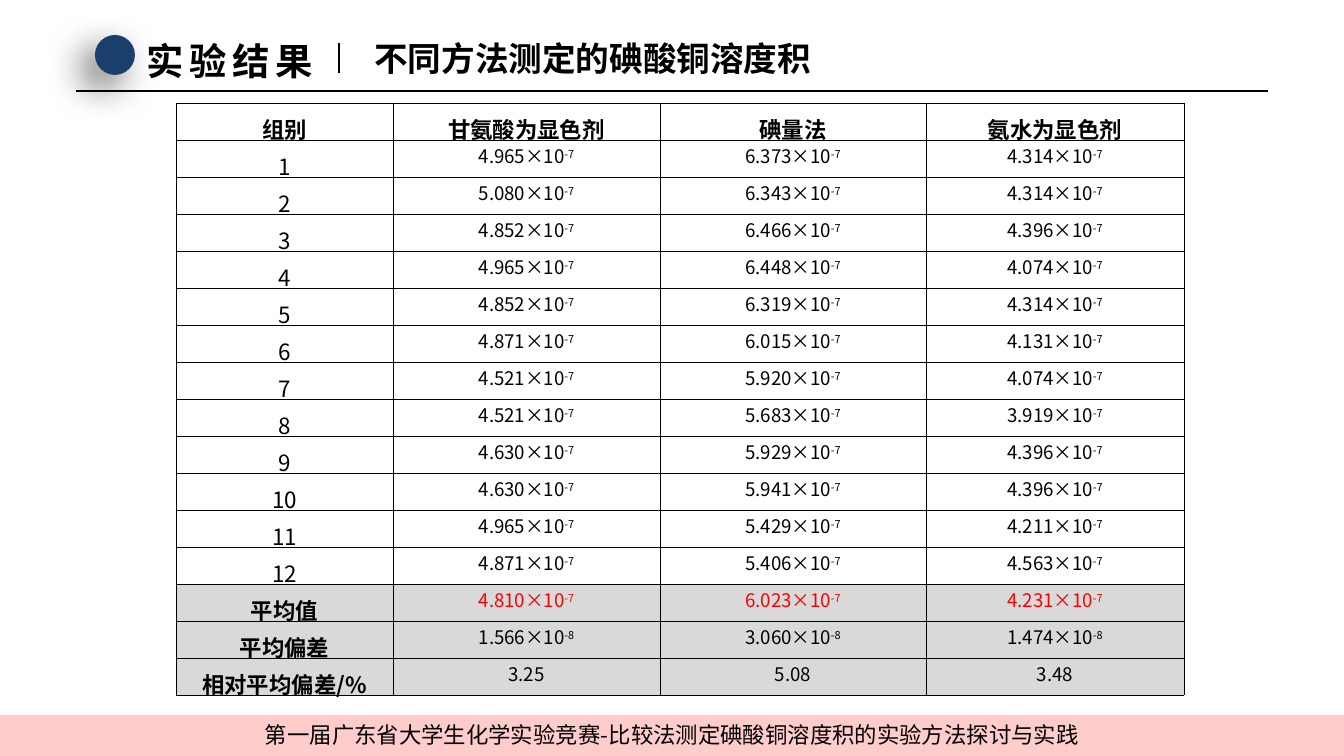
from lxml import etree
from pptx import Presentation
from pptx import util as u
from pptx.dml.color import RGBColor
from pptx.enum import shapes, text
from pptx.oxml import parse_xml
from pptx.oxml.ns import nsdecls, qn

FONT = "Noto Sans CJK SC"
COLORS = {"ink": "000000", "paper": "FFFFFF", "summary": "D9D9D9",
          "mean": "FF0000", "footer": "FFCCCC", "dot": "1A3F6C"}

TITLE = "实验结果"
SUBTITLE = "不同方法测定的碘酸铜溶度积"
FOOTER = "第一届广东省大学生化学实验竞赛-比较法测定碘酸铜溶度积的实验方法探讨与实践"
HEADER = ["组别", "甘氨酸为显色剂", "碘量法", "氨水为显色剂"]
TRIALS = [
    ("4.965", "6.373", "4.314"),
    ("5.080", "6.343", "4.314"),
    ("4.852", "6.466", "4.396"),
    ("4.965", "6.448", "4.074"),
    ("4.852", "6.319", "4.314"),
    ("4.871", "6.015", "4.131"),
    ("4.521", "5.920", "4.074"),
    ("4.521", "5.683", "3.919"),
    ("4.630", "5.929", "4.396"),
    ("4.630", "5.941", "4.396"),
    ("4.965", "5.429", "4.211"),
    ("4.871", "5.406", "4.563"),
]
SUMMARY = [
    ("平均值", ("4.810", "6.023", "4.231"), "-7", "mean"),
    ("平均偏差", ("1.566", "3.060", "1.474"), "-8", "ink"),
    ("相对平均偏差/%", ("3.25", "5.08", "3.48"), "", "ink"),
]

SLIDE_SIZE = (1344, 756)
TABLE_LEFT, TABLE_TOP, ROW_HEIGHT = 176, 103, 37
COLUMN_WIDTHS = [217, 267, 266, 258]
INSET = u.Inches(0.01)


def px(length):
    return u.Emu(round(length * 914400 / 134.4))


def box(*lengths):
    return [px(length) for length in lengths]


def rgb(name):
    return RGBColor.from_string(COLORS[name])


def set_all(target, values):
    for name, value in values.items():
        setattr(target, name, value)


def add_run(paragraph, words, size, bold=False, color="ink", **attributes):
    run = paragraph.add_run()
    run.text = words
    set_all(run.font, {"size": u.Pt(size), "bold": bold, "name": FONT})
    run.font.color.rgb = rgb(color)
    properties = run.font._element
    etree.SubElement(properties, qn("a:ea")).set("typeface", FONT)
    for name, value in attributes.items():
        properties.set(name, value)


def write_box(shape, words, size, align, wrap, **style):
    set_all(shape.text_frame, {
        "word_wrap": wrap, "vertical_anchor": text.MSO_ANCHOR.TOP,
        "auto_size": text.MSO_AUTO_SIZE.SHAPE_TO_FIT_TEXT})
    paragraph = shape.text_frame.paragraphs[0]
    paragraph.alignment = align
    add_run(paragraph, words, size, **style)


def add_filled(slide, kind, color, place):
    shape = slide.shapes.add_shape(kind, *box(*place))
    shape.shadow.inherit = False
    shape.fill.solid()
    shape.fill.fore_color.rgb = rgb(color)
    shape.line.fill.background()
    return shape


def add_rule(slide, ends, weight):
    line = slide.shapes.add_connector(shapes.MSO_CONNECTOR.STRAIGHT, *box(*ends))
    line.line.width = u.Pt(weight)
    line.line.color.rgb = rgb("ink")
    etree.SubElement(line._element.spPr, qn("a:effectLst"))


def format_cell(cell, fill, bottom):
    set_all(cell, {"margin_left": INSET, "margin_right": INSET, "margin_top": INSET,
                   "margin_bottom": bottom, "vertical_anchor": text.MSO_ANCHOR.MIDDLE})
    for side in ("lnL", "lnR", "lnT", "lnB"):
        cell._tc.get_or_add_tcPr().append(parse_xml(
            f'<a:{side} {nsdecls("a")} w="3175"><a:solidFill>'
            f'<a:srgbClr val="{COLORS["ink"]}"/></a:solidFill></a:{side}>'))
    cell.fill.solid()
    cell.fill.fore_color.rgb = rgb(fill)
    paragraph = cell.text_frame.paragraphs[0]
    paragraph.alignment = text.PP_ALIGN.CENTER
    return paragraph


def write_label(cell, words, fill, bold):
    paragraph = format_cell(cell, fill, 0)
    paragraph.line_spacing = 1.25
    add_run(paragraph, words, 12, bold)


def write_value(cell, number, power, fill, color):
    paragraph = format_cell(cell, fill, u.Inches(0.05))
    add_run(paragraph, number + "×10" if power else number, 10, color=color)
    if power:
        add_run(paragraph, power, 10, color=color, baseline="30000")


def add_results(slide):
    rows = [(str(number), values, "-7", "ink", "paper", False)
            for number, values in enumerate(TRIALS, 1)]
    rows += [(*row, "summary", True) for row in SUMMARY]
    count = len(rows) + 1
    table = slide.shapes.add_table(count, len(HEADER), *box(
        TABLE_LEFT, TABLE_TOP, sum(COLUMN_WIDTHS), count * ROW_HEIGHT)).table
    set_all(table, {"first_row": False, "horz_banding": False})
    for column, width in zip(table.columns, COLUMN_WIDTHS):
        column.width = px(width)
    for row in table.rows:
        row.height = px(ROW_HEIGHT)
    for column, words in enumerate(HEADER):
        write_label(table.cell(0, column), words, "paper", True)
    for index, (label, values, power, color, fill, bold) in enumerate(rows, 1):
        write_label(table.cell(index, 0), label, fill, bold)
        for column, number in enumerate(values, 1):
            write_value(table.cell(index, column), number, power, fill, color)


def main():
    presentation = Presentation()
    presentation.slide_width, presentation.slide_height = box(*SLIDE_SIZE)
    slide = presentation.slides.add_slide(presentation.slide_layouts[5])

    footer = add_filled(slide, shapes.MSO_SHAPE.RECTANGLE, "footer", (0, 715, 1344, 41))
    write_box(footer, FOOTER, 12, text.PP_ALIGN.CENTER, True)
    add_results(slide)
    add_rule(slide, (76, 91, 1268, 91), 0.75)

    dot = add_filled(slide, shapes.MSO_SHAPE.OVAL, "dot", (95, 35, 40, 40))
    effects = dot._element.spPr.find(qn("a:effectLst"))
    effects.append(parse_xml(
        f'<a:outerShdw {nsdecls("a")} blurRad="{u.Pt(20)}" dist="{u.Pt(10)}" '
        f'dir="{135 * 60000}" algn="tr" rotWithShape="0"><a:srgbClr val="{COLORS["ink"]}">'
        '<a:alpha val="60000"/></a:srgbClr></a:outerShdw>'))

    title = slide.shapes.title
    set_all(title, dict(zip(("left", "top", "width", "height"), box(133, 31, 199, 59))))
    write_box(title, TITLE, 20, text.PP_ALIGN.LEFT, False, bold=True, spc="300")
    subtitle = slide.shapes.add_textbox(*box(361, 31, 468, 54))
    write_box(subtitle, SUBTITLE, 18, text.PP_ALIGN.LEFT, False, bold=True)
    add_rule(slide, (339, 43, 339, 73), 1.5)
    presentation.save("out.pptx")


if __name__ == "__main__":
    main()
